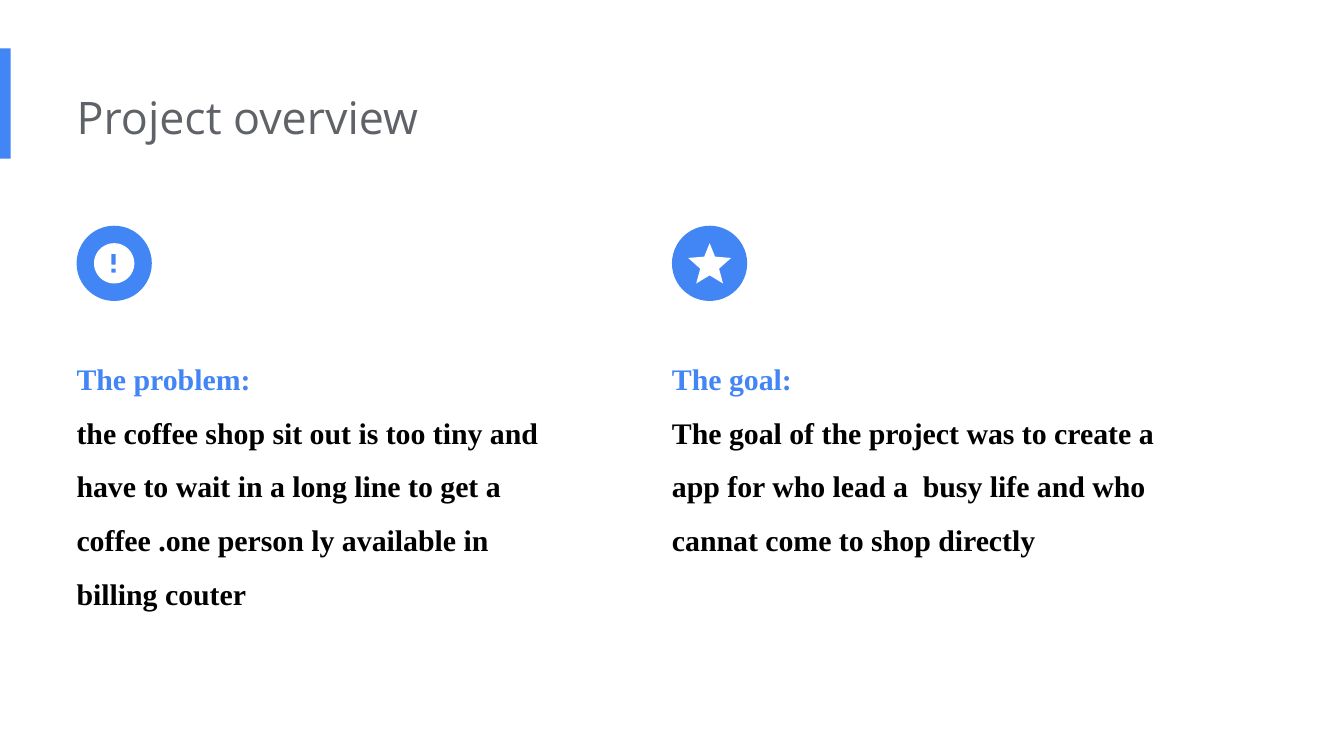
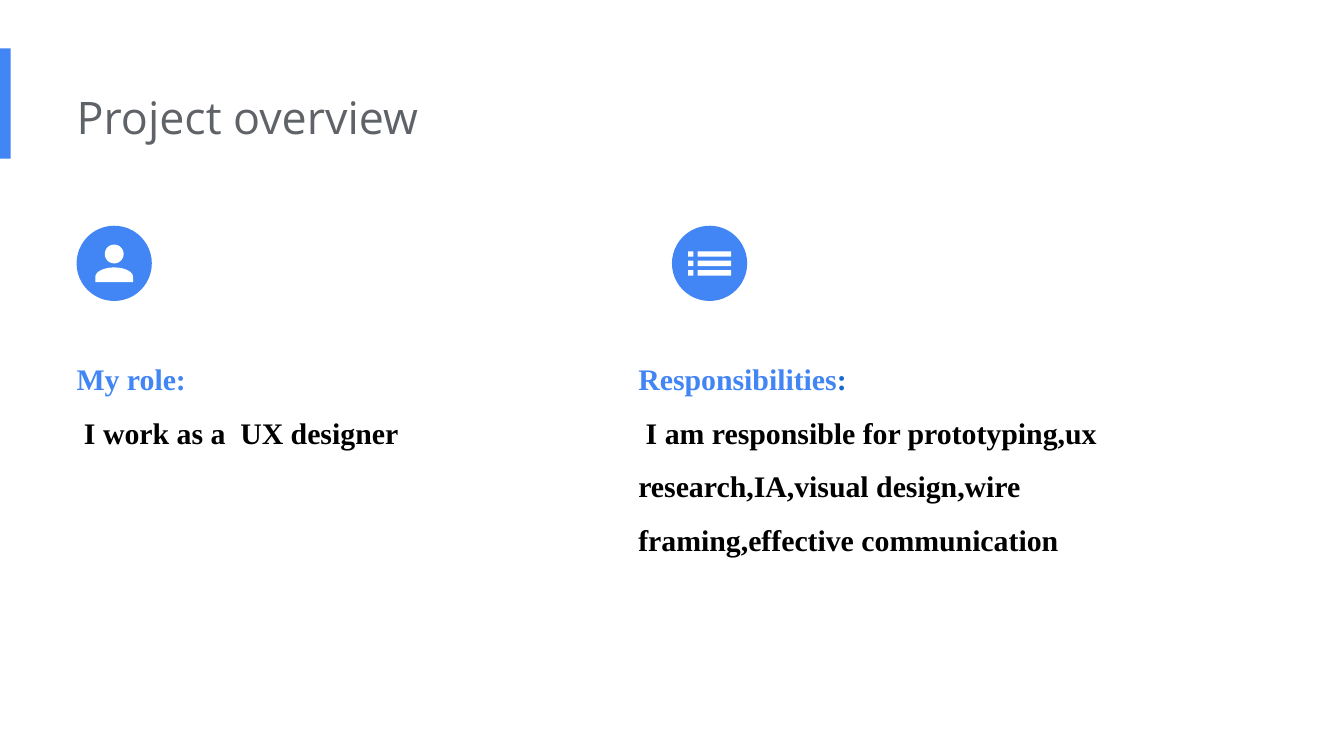
from math import cos, pi, sin

from pptx import Presentation
from pptx.dml.color import RGBColor
from pptx.enum.shapes import MSO_SHAPE
from pptx.enum.text import MSO_ANCHOR, MSO_AUTO_SIZE, PP_ALIGN
from pptx.util import Inches, Pt

RECTANGLE, OVAL = MSO_SHAPE.RECTANGLE, MSO_SHAPE.OVAL
TOP, LEFT = MSO_ANCHOR.TOP, PP_ALIGN.LEFT
GROW = MSO_AUTO_SIZE.SHAPE_TO_FIT_TEXT

# Shared look
BLUE, DARK_BLUE, GREY, BLACK, WHITE = "4285F4", "1967D2", "5F6368", "000000", "FFFFFF"
TITLE_FONT, BODY_FONT = "Open Sans", "Times New Roman"
TITLE_ONLY = 5
MARGIN, SECOND_COLUMN = 0.57, 5
BADGE_TOP, BADGE_SIZE = 1.68, 0.56
TEXT_TOP, TEXT_WIDTH = 2.45, 3.77

# Content: each paragraph is a list of (text, colour) spans
SLIDES = [
    ("Project overview", [
        dict(icon="alert", badge_left=MARGIN, text_left=MARGIN, height=2.22, paragraphs=[
            [("The problem:", BLUE)],
            [("the coffee shop sit out is too tiny and have to wait in a long line "
              "to get a coffee .one person ly available in billing couter ", BLACK)]]),
        dict(icon="star", badge_left=SECOND_COLUMN, text_left=SECOND_COLUMN, height=1.81, paragraphs=[
            [("The goal: ", BLUE)],
            [("The goal of the project was to create a app for who lead a  busy life "
              "and who cannat come to shop directly", BLACK)]]),
    ]),
    ("Project overview", [
        dict(icon="person", badge_left=MARGIN, text_left=MARGIN, height=1.01, paragraphs=[
            [("My role: ", BLUE)],
            [(" I work as a  UX designer", BLACK)]]),
        dict(icon="list", badge_left=SECOND_COLUMN, text_left=4.75, height=1.81, paragraphs=[
            [("Responsibilities", BLUE), (": ", DARK_BLUE)],
            [(" I am responsible for prototyping,ux research,IA,visual design,"
              "wire framing,effective communication", BLACK)]]),
    ]),
]


# Icon outlines, in inches from the centre of the badge
def arc(x, y, radius_x, radius_y, start=0, end=2 * pi, steps=48):
    angles = [start + (end - start) * step / steps for step in range(steps + 1)]
    return [(x + radius_x * cos(angle), y + radius_y * sin(angle)) for angle in angles]


def bar(left, top, right, bottom):
    return [(left, top), (right, top), (right, bottom), (left, bottom)]


STAR_HALF = [(0, -0.15), (0.04, -0.05), (0.16, -0.04), (0.07, 0.04), (0.1, 0.15), (0, 0.09)]
ICONS = {
    "alert": [arc(0, 0, 0.15, 0.15),
              bar(-0.02, -0.07, 0.01, 0.01), bar(-0.02, 0.04, 0.01, 0.07)],
    "star": [STAR_HALF + [(-x, y) for x, y in STAR_HALF[-2:0:-1]]],
    "person": [arc(0, -0.07, 0.07, 0.07),
               arc(0, 0.1, 0.14, 0.07, pi, 2 * pi) + [(0.14, 0.14), (-0.14, 0.14)]],
    "list": [bar(left, y - 0.02, right, y + 0.02)
             for y in (-0.07, 0, 0.07) for left, right in ((-0.16, -0.12), (-0.09, 0.16))],
}


# Drawing helpers
def colour(value):
    return RGBColor.from_string(value)


def paint(shape, fill):
    shape.shadow.inherit = False
    shape.fill.solid()
    shape.fill.fore_color.rgb = colour(fill)
    shape.line.fill.background()


def add_block(page, kind, left, top, width, height, fill):
    paint(page.shapes.add_shape(kind, Inches(left), Inches(top), Inches(width), Inches(height)), fill)


def add_icon(page, outlines, center_x, center_y):
    builder = None
    for outline in outlines:
        points = [(Inches(center_x + x), Inches(center_y + y)) for x, y in outline]
        if builder is None:
            builder = page.shapes.build_freeform(*points[0])
        else:
            builder.move_to(*points[0])
        builder.add_line_segments(points[1:], close=True)
    paint(builder.convert_to_shape(), WHITE)


def write(box, paragraphs, left, top, width, height, font, size, bold=False, spacing=1.0):
    box.left, box.top, box.width, box.height = map(Inches, (left, top, width, height))
    frame = box.text_frame
    frame.word_wrap = True
    frame.auto_size = GROW
    frame.vertical_anchor = TOP
    frame.margin_left = 0
    frame.margin_top = frame.margin_right = frame.margin_bottom = Inches(0.1)
    for index, spans in enumerate(paragraphs):
        para = frame.add_paragraph() if index else frame.paragraphs[0]
        para.alignment = LEFT
        para.line_spacing = spacing
        for text, tint in spans:
            span = para.add_run()
            span.text = text
            span.font.name, span.font.size, span.font.bold = font, Pt(size), bold
            span.font.color.rgb = colour(tint)


# Build: a 16:9 deck
deck = Presentation()
deck.slide_width, deck.slide_height = Inches(10), Inches(10 * 9 / 16)
for title, columns in SLIDES:
    page = deck.slides.add_slide(deck.slide_layouts[TITLE_ONLY])
    page.background.fill.solid()
    page.background.fill.fore_color.rgb = colour(WHITE)
    add_block(page, RECTANGLE, 0, 0.36, 0.08, 0.82, BLUE)
    write(page.shapes.title, [[(title, GREY)]], MARGIN, 0.57, 6.73, 0.61, TITLE_FONT, 24)
    for column in columns:
        box = page.shapes.add_textbox(0, 0, 0, 0)
        write(box, column["paragraphs"], column["text_left"], TEXT_TOP, TEXT_WIDTH,
              column["height"], BODY_FONT, 16, bold=True, spacing=1.5)
        add_block(page, OVAL, column["badge_left"], BADGE_TOP, BADGE_SIZE, BADGE_SIZE, BLUE)
        add_icon(page, ICONS[column["icon"]],
                 column["badge_left"] + BADGE_SIZE / 2, BADGE_TOP + BADGE_SIZE / 2)
deck.save("out.pptx")
